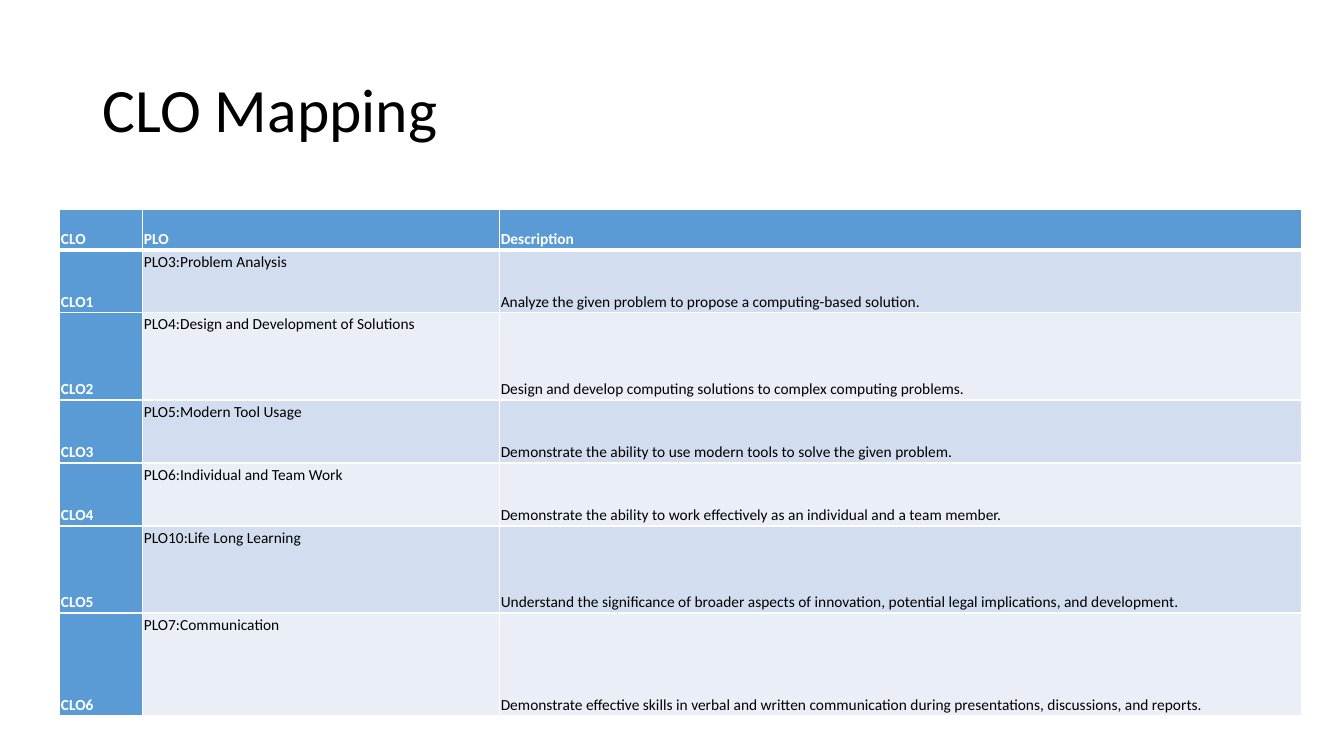
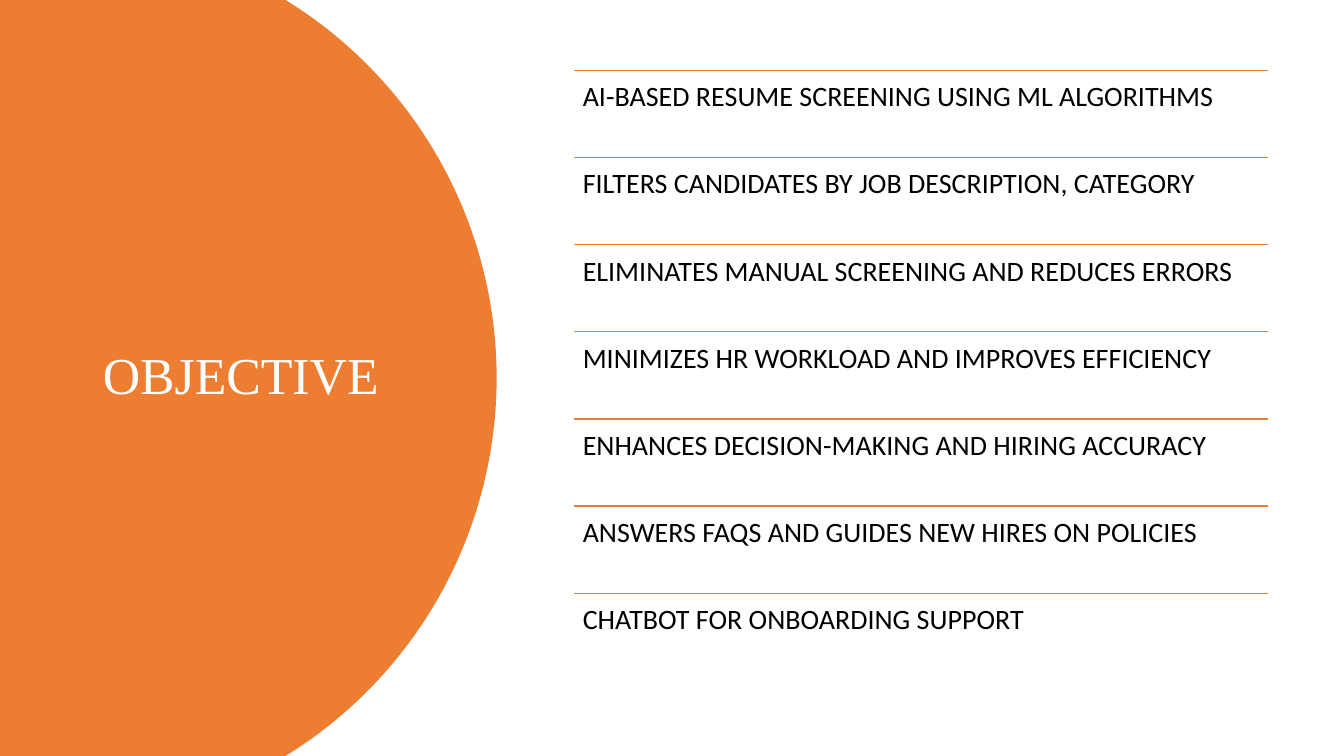
import math

import pptx
import pptx.dml.color
import pptx.enum.shapes
import pptx.enum.text
import pptx.oxml
import pptx.oxml.ns
import pptx.util

EMU_PER_PX = 9525
WIDTH, HEIGHT = 1280, 720

BLACK, WHITE = "000000", "FFFFFF"
BLUE, BLUE_BAND, BLUE_PALE = "5B9BD5", "D2DEEF", "EAEFF7"
ORANGE = "ED7D31"

TOP = pptx.enum.text.MSO_ANCHOR.TOP
MIDDLE = pptx.enum.text.MSO_ANCHOR.MIDDLE
BOTTOM = pptx.enum.text.MSO_ANCHOR.BOTTOM

CLO_ROWS = [
    ("CLO", "PLO", "Description"),
    ("CLO1", "PLO3:Problem Analysis",
     "Analyze the given problem to propose a computing-based solution."),
    ("CLO2", "PLO4:Design and Development of Solutions",
     "Design and develop computing solutions to complex computing problems."),
    ("CLO3", "PLO5:Modern Tool Usage",
     "Demonstrate the ability to use modern tools to solve the given problem."),
    ("CLO4", "PLO6:Individual and Team Work",
     "Demonstrate the ability to work effectively as an individual and a team member."),
    ("CLO5", "PLO10:Life Long Learning",
     "Understand the significance of broader aspects of innovation, "
     "potential legal implications, and development."),
    ("CLO6", "PLO7:Communication",
     "Demonstrate effective skills in verbal and written communication "
     "during presentations, discussions, and reports."),
]

OBJECTIVES = [
    "AI-BASED RESUME SCREENING USING ML ALGORITHMS",
    "FILTERS CANDIDATES BY JOB DESCRIPTION, CATEGORY",
    "ELIMINATES MANUAL SCREENING AND REDUCES ERRORS",
    "MINIMIZES HR WORKLOAD AND IMPROVES EFFICIENCY",
    "ENHANCES DECISION-MAKING AND HIRING ACCURACY",
    "ANSWERS FAQS AND GUIDES NEW HIRES ON POLICIES",
    "CHATBOT FOR ONBOARDING SUPPORT",
]


def px(length):
    return pptx.util.Emu(round(length * EMU_PER_PX))


def color(value):
    return pptx.dml.color.RGBColor.from_string(value)


def set_all(target, values):
    for name, value in values.items():
        setattr(target, name, value)


class Deck:
    """Holds the shared style and the slide being filled."""

    def __init__(self):
        self.presentation = pptx.Presentation()
        set_all(self.presentation,
                {"slide_width": px(WIDTH), "slide_height": px(HEIGHT)})
        self.slide = None

    def new_slide(self):
        self.slide = self.presentation.slides.add_slide(
            self.presentation.slide_layouts[6])

    def fill_paragraph(self, paragraph, text, size, ink, name="Calibri",
                       bold=False, **spacing):
        run = paragraph.add_run()
        run.text = text
        set_all(run.font, {"name": name, "size": pptx.util.Pt(size), "bold": bold})
        run.font.color.rgb = color(ink)
        set_all(paragraph, spacing)

    def text(self, box, text, size, ink, anchor=TOP, margins=(10, 5), **style):
        shape = self.slide.shapes.add_textbox(*map(px, box))
        across, down = map(px, margins)
        set_all(shape.text_frame, {
            "word_wrap": True, "vertical_anchor": anchor,
            "margin_left": across, "margin_right": across,
            "margin_top": down, "margin_bottom": down})
        self.fill_paragraph(shape.text_frame.paragraphs[0], text, size, ink, **style)

    def title(self, box, text, size=44, ink=BLACK, name="Calibri"):
        self.text(box, text, size, ink, MIDDLE, name=name, line_spacing=0.9)

    def rule(self, left, right, y, ink):
        line = self.slide.shapes.add_connector(
            pptx.enum.shapes.MSO_CONNECTOR.STRAIGHT,
            px(left), px(y), px(right), px(y))
        line.line.color.rgb = color(ink)
        line.line.width = pptx.util.Pt(1)
        line._element.spPr.append(pptx.oxml.parse_xml(
            f'<a:effectLst {pptx.oxml.ns.nsdecls("a")}/>'))

    def round_panel(self, shoulder, edge, fill):
        """Panel on the left whose right side is an arc through the corners."""
        half, bulge = HEIGHT / 2, edge - shoulder
        radius = (bulge ** 2 + half ** 2) / (2 * bulge)
        sweep, steps = math.asin(half / radius), 90
        angles = [sweep * (2 * step / steps - 1) for step in range(steps + 1)]
        arc = [(px(edge - radius + radius * math.cos(angle)),
                px(half + radius * math.sin(angle))) for angle in angles]
        builder = self.slide.shapes.build_freeform(0, 0)
        builder.add_line_segments(arc + [(0, px(HEIGHT))], close=True)
        shape = builder.convert_to_shape()
        shape.shadow.inherit = False
        shape.fill.solid()
        shape.fill.fore_color.rgb = color(fill)
        shape.line.fill.background()

    def border(self, cell, side, width):
        cell._tc.get_or_add_tcPr().append(pptx.oxml.parse_xml(
            f'<a:ln{side} {pptx.oxml.ns.nsdecls("a")} w="{pptx.util.Pt(width)}">'
            f'<a:solidFill><a:srgbClr val="{WHITE}"/></a:solidFill></a:ln{side}>'))

    def table(self, left, top, widths, heights, rows):
        table = self.slide.shapes.add_table(
            len(rows), len(widths), px(left), px(top),
            px(sum(widths)), px(sum(heights))).table
        table.horz_banding = False
        for column, width in zip(table.columns, widths):
            column.width = px(width)
        for row, height in zip(table.rows, heights):
            row.height = px(height)
        for r, texts in enumerate(rows):
            for c, text in enumerate(texts):
                self.cell(table.cell(r, c), r, c, text)

    def cell(self, cell, row, column, text):
        heading = row == 0 or column == 0
        raised = row > 0 and column == 1
        set_all(cell, {
            "vertical_anchor": TOP if raised else BOTTOM,
            "margin_left": px(1), "margin_right": px(1), "margin_top": px(1),
            "margin_bottom": px(0 if raised else 1)})
        # Borders come before the fill; the line under the header is thick
        for side in "LRTB":
            thick = (row, side) in [(0, "B"), (1, "T")]
            self.border(cell, side, 3 if thick else 1)
        cell.fill.solid()
        band = BLUE_BAND if row % 2 else BLUE_PALE
        cell.fill.fore_color.rgb = color(BLUE if heading else band)
        self.fill_paragraph(cell.text_frame.paragraphs[0], text, 11,
                            WHITE if heading else BLACK, bold=heading,
                            line_spacing=1.07, space_after=pptx.util.Pt(8))


def main():
    deck = Deck()

    # CLO mapping table
    deck.new_slide()
    deck.title((88, 38, 1104, 139), "CLO Mapping")
    deck.table(57, 199, (79, 340, 764), (39, 60, 83, 60, 60, 83, 98), CLO_ROWS)

    # Objectives beside the round panel
    deck.new_slide()
    deck.round_panel(272, 473, ORANGE)
    deck.title((88, 67, 310, 585), "OBJECTIVE", 37, WHITE, "Times New Roman")
    left, top, width, step = 547, 67, 661, 83
    for index, objective in enumerate(OBJECTIVES):
        y = top + index * step
        deck.rule(left, left + width, y, ORANGE)
        deck.text((left, y, width, step), objective, 20, BLACK, margins=(8, 8))

    deck.presentation.save("out.pptx")


if __name__ == "__main__":
    main()
